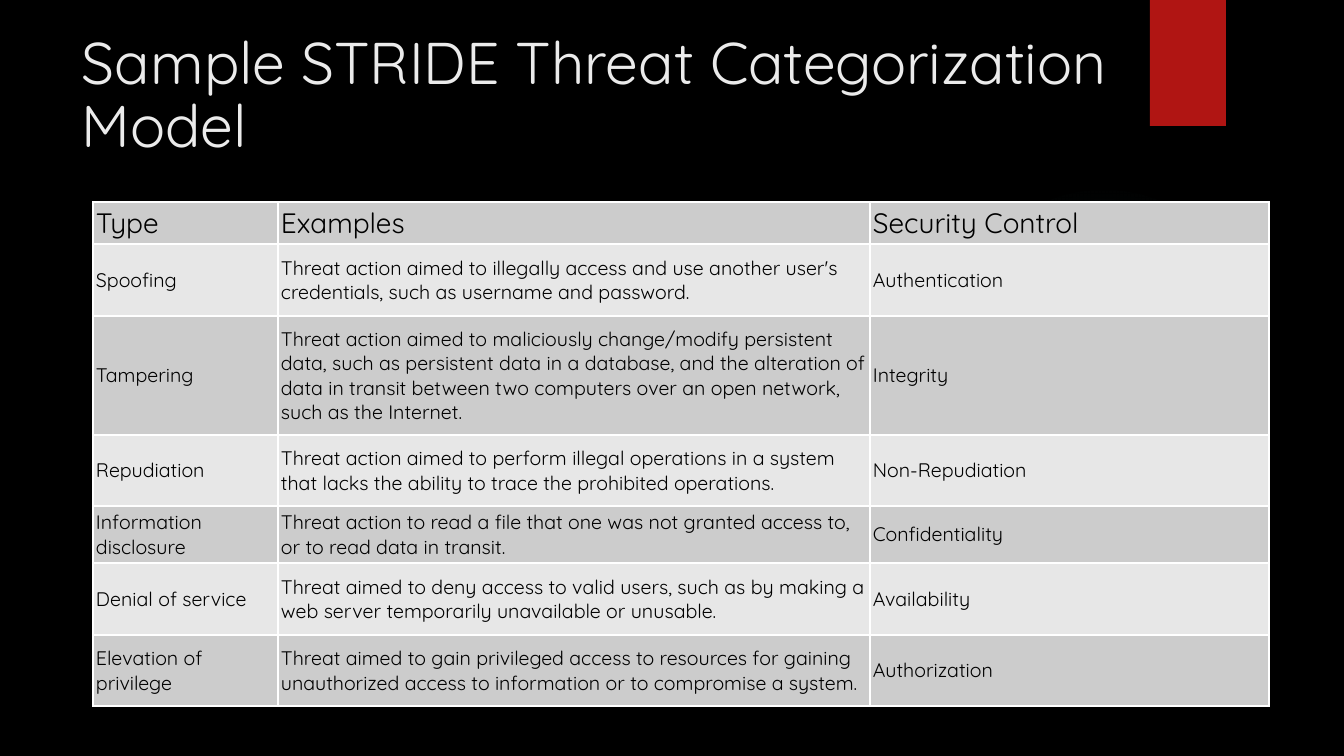
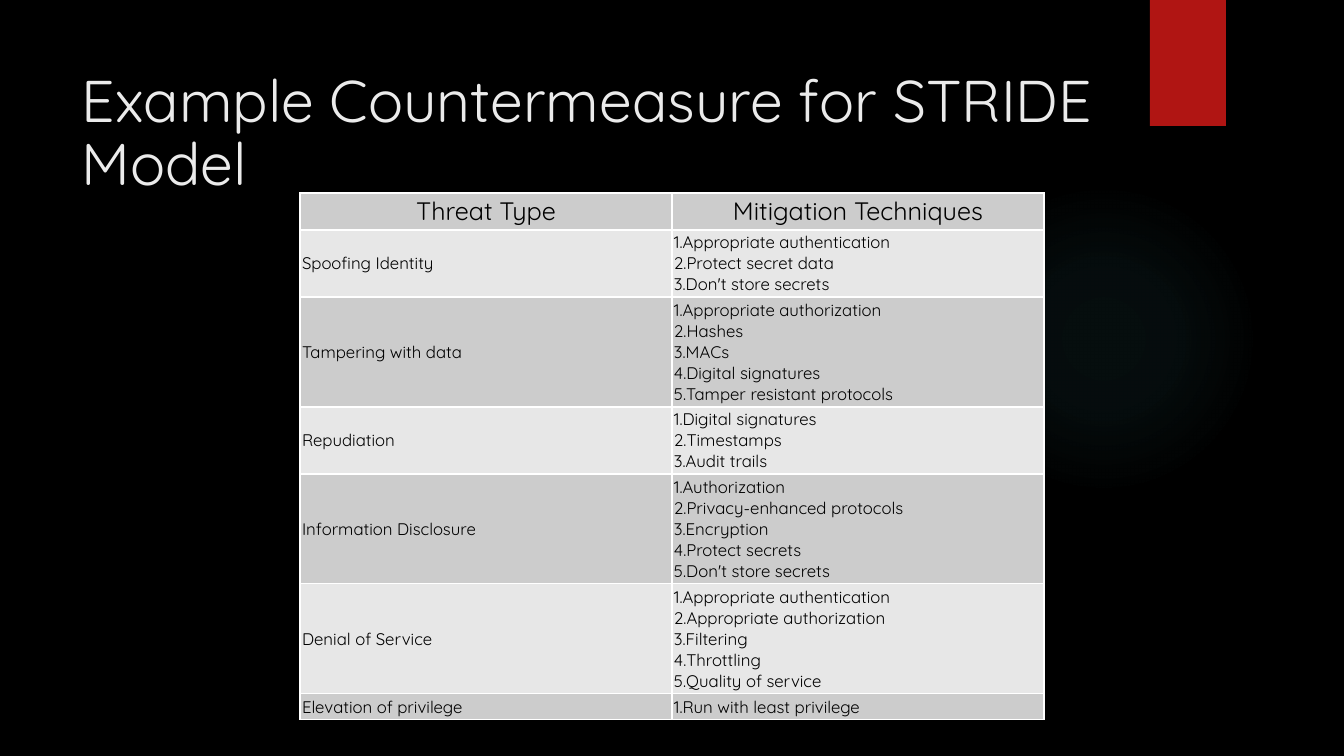
from dataclasses import dataclass

import lxml.etree
import pptx
import pptx.dml.color
import pptx.enum.shapes
import pptx.enum.text
import pptx.oxml
import pptx.oxml.ns
import pptx.util

EMU_PER_INCH = 914400
PX_PER_INCH = 100.8
ANCHOR = pptx.enum.text.MSO_ANCHOR
ALIGN = pptx.enum.text.PP_ALIGN
SHAPES = pptx.enum.shapes.MSO_SHAPE


@dataclass(frozen=True)
class Theme:
    font: str = "Quicksand"
    background: str = "000000"
    title: str = "EBEBEB"
    ribbon: str = "B01513"
    glow: str = "50B9C1"
    text: str = "000000"
    border: str = "FFFFFF"
    dark_row: str = "CCCCCC"
    light_row: str = "E7E7E7"
    title_size: int = 42
    border_width: int = 1


THEME = Theme()

GLOW_STOPS = ((0, 7), (36, 6), (69, 0))

THREATS = {
    "box": (93, 202),
    "columns": (185, 592, 399),
    "rows": (42, 72, 119, 71, 57, 72, 71),
    "insets": {"margin_left": 3, "margin_right": 4, "margin_top": 3, "margin_bottom": 3},
    "sizes": (20, 14),
    "header_align": ALIGN.LEFT,
    "cells": (
        ("Type", "Examples", "Security Control"),
        (
            "Spoofing",
            "Threat action aimed to illegally access and use another user's credentials, "
            "such as username and password.",
            "Authentication",
        ),
        (
            "Tampering",
            "Threat action aimed to maliciously change/modify persistent data, such as "
            "persistent data in a database, and the alteration of data in transit between "
            "two computers over an open network, such as the Internet.",
            "Integrity",
        ),
        (
            "Repudiation",
            "Threat action aimed to perform illegal operations in a system that lacks "
            "the ability to trace the prohibited operations.",
            "Non-Repudiation",
        ),
        (
            "Information disclosure",
            "Threat action to read a file that one was not granted access to, "
            "or to read data in transit.",
            "Confidentiality",
        ),
        (
            "Denial of service",
            "Threat aimed to deny access to valid users, such as by making a web server "
            "temporarily unavailable or unusable.",
            "Availability",
        ),
        (
            "Elevation of privilege",
            "Threat aimed to gain privileged access to resources for gaining unauthorized "
            "access to information or to compromise a system.",
            "Authorization",
        ),
    ),
}

COUNTERMEASURES = {
    "box": (300, 193),
    "columns": (372, 372),
    "rows": (37, 67, 110, 67, 110, 110, 26),
    "insets": {"margin_left": 2, "margin_right": 2, "margin_top": 2, "margin_bottom": 2},
    "sizes": (18, 12),
    "header_align": ALIGN.CENTER,
    "cells": (
        ("Threat Type", "Mitigation Techniques"),
        (
            "Spoofing Identity",
            ["Appropriate authentication", "Protect secret data", "Don't store secrets"],
        ),
        (
            "Tampering with data",
            [
                "Appropriate authorization",
                "Hashes",
                "MACs",
                "Digital signatures",
                "Tamper resistant protocols",
            ],
        ),
        ("Repudiation", ["Digital signatures", "Timestamps", "Audit trails"]),
        (
            "Information Disclosure",
            [
                "Authorization",
                "Privacy-enhanced protocols",
                "Encryption",
                "Protect secrets",
                "Don't store secrets",
            ],
        ),
        (
            "Denial of Service",
            [
                "Appropriate authentication",
                "Appropriate authorization",
                "Filtering",
                "Throttling",
                "Quality of service",
            ],
        ),
        ("Elevation of privilege", ["Run with least privilege"]),
    ),
}

SLIDES = (
    ("Sample STRIDE Threat Categorization Model", (72, 12, 1052, 154), THREATS),
    ("Example Countermeasure for STRIDE Model", (72, 50, 1037, 154), COUNTERMEASURES),
)


def px(length):
    return pptx.util.Emu(round(length * EMU_PER_INCH / PX_PER_INCH))


def rgb(color):
    return pptx.dml.color.RGBColor.from_string(color)


def apply_format(target, values):
    for name, value in values.items():
        setattr(target, name, value)


def paint(fill, color):
    fill.solid()
    fill.fore_color.rgb = rgb(color)


def write(paragraph, text, size, color):
    run = paragraph.add_run()
    run.text = text
    apply_format(run.font, {"name": THEME.font, "size": pptx.util.Pt(size), "bold": False})
    run.font.color.rgb = rgb(color)


def add_plain_shape(slide, kind, box, color):
    shape = slide.shapes.add_shape(kind, *map(px, box))
    shape.shadow.inherit = False
    shape.line.fill.background()
    paint(shape.fill, color)
    return shape


def add_glow(slide):
    shape = add_plain_shape(slide, SHAPES.OVAL, (949, 184, 310, 310), THEME.glow)
    stops = "".join(
        f'<a:gs pos="{position * 1000}"><a:srgbClr val="{THEME.glow}">'
        f'<a:alpha val="{opacity * 1000}"/></a:srgbClr></a:gs>'
        for position, opacity in GLOW_STOPS
    )
    gradient = pptx.oxml.parse_xml(
        f'<a:gradFill {pptx.oxml.ns.nsdecls("a")} rotWithShape="1"><a:gsLst>{stops}</a:gsLst>'
        '<a:path path="circle"><a:fillToRect l="50000" t="50000" r="50000" b="50000"/></a:path>'
        "</a:gradFill>"
    )
    properties = shape.element.spPr
    properties.replace(properties.find(pptx.oxml.ns.qn("a:solidFill")), gradient)


def add_title(slide, text, box):
    frame = slide.shapes.add_textbox(*map(px, box)).text_frame
    apply_format(
        frame,
        {
            "word_wrap": True,
            "auto_size": pptx.enum.text.MSO_AUTO_SIZE.TEXT_TO_FIT_SHAPE,
            "vertical_anchor": ANCHOR.MIDDLE,
        },
    )
    write(frame.paragraphs[0], text, THEME.title_size, THEME.title)


def number_paragraph(paragraph):
    properties = paragraph._p.get_or_add_pPr()
    properties.set("marL", "0")
    properties.set("indent", "0")
    numbering = lxml.etree.SubElement(properties, pptx.oxml.ns.qn("a:buAutoNum"))
    numbering.set("type", "arabicPeriod")


def add_borders(cell):
    properties = cell._tc.get_or_add_tcPr()
    for index, side in enumerate(("lnL", "lnR", "lnT", "lnB")):
        border = pptx.oxml.parse_xml(
            f'<a:{side} {pptx.oxml.ns.nsdecls("a")} w="{pptx.util.Pt(THEME.border_width)}">'
            f'<a:solidFill><a:srgbClr val="{THEME.border}"/></a:solidFill></a:{side}>'
        )
        properties.insert(index, border)


def fill_cell(cell, content, size, align, color, insets):
    paint(cell.fill, color)
    add_borders(cell)
    apply_format(cell, {name: px(inset) for name, inset in insets.items()})
    cell.vertical_anchor = ANCHOR.MIDDLE
    numbered = isinstance(content, list)
    for index, text in enumerate(content if numbered else [content]):
        frame = cell.text_frame
        paragraph = frame.add_paragraph() if index else frame.paragraphs[0]
        paragraph.alignment = align
        if numbered:
            number_paragraph(paragraph)
        write(paragraph, text, size, THEME.text)


def add_grid(slide, grid):
    columns, rows = grid["columns"], grid["rows"]
    box = (*grid["box"], sum(columns), sum(rows))
    table = slide.shapes.add_table(len(rows), len(columns), *map(px, box)).table
    table.horz_banding = False
    for column, width in zip(table.columns, columns):
        column.width = px(width)
    header_size, body_size = grid["sizes"]
    for index, (row, height, contents) in enumerate(zip(table.rows, rows, grid["cells"])):
        row.height = px(height)
        size = body_size if index else header_size
        align = ALIGN.LEFT if index else grid["header_align"]
        color = THEME.light_row if index % 2 else THEME.dark_row
        for cell, content in zip(row.cells, contents):
            fill_cell(cell, content, size, align, color, grid["insets"])


def main():
    presentation = pptx.Presentation()
    apply_format(presentation, {"slide_width": px(1344), "slide_height": px(756)})
    paint(presentation.slide_master.background.fill, THEME.background)
    for title, title_box, grid in SLIDES:
        slide = presentation.slides.add_slide(presentation.slide_layouts[6])
        add_glow(slide)
        add_plain_shape(slide, SHAPES.RECTANGLE, (1150, 0, 76, 126), THEME.ribbon)
        add_title(slide, title, title_box)
        add_grid(slide, grid)
    presentation.save("out.pptx")


if __name__ == "__main__":
    main()
